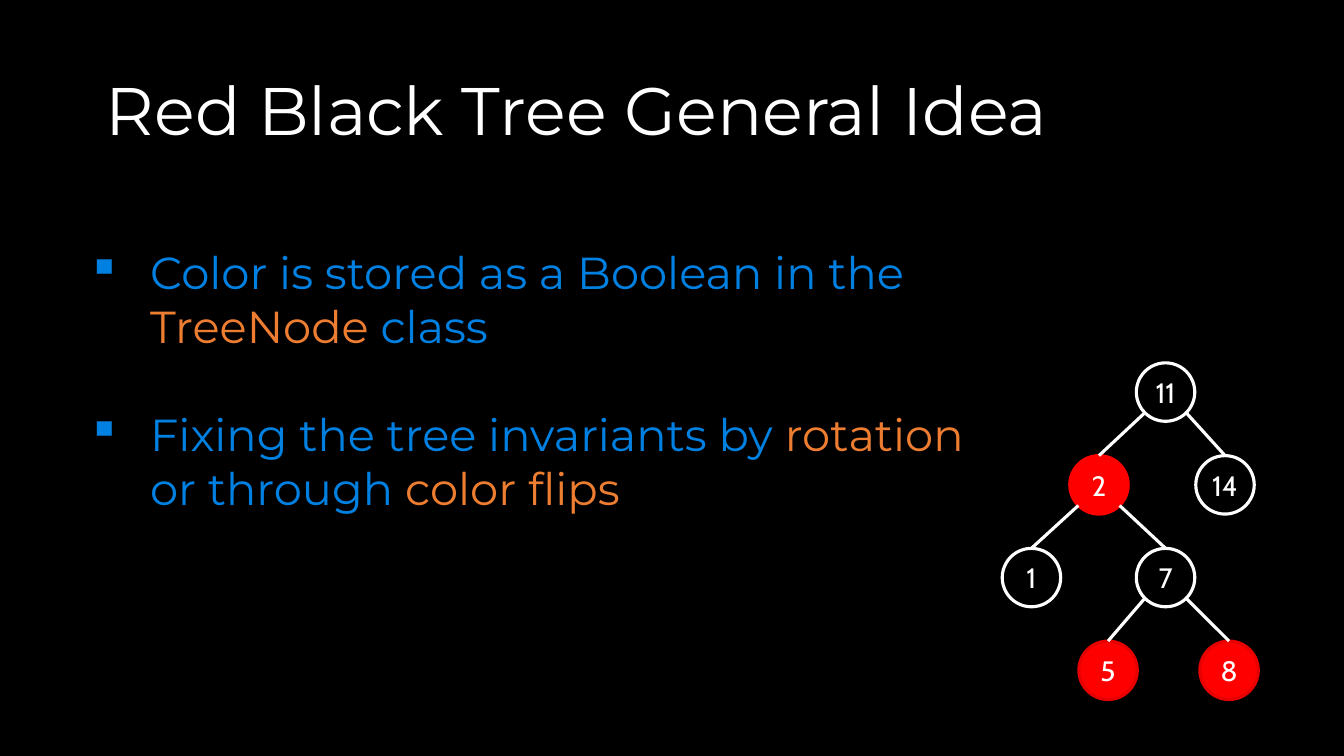
from dataclasses import dataclass
from math import sqrt

from lxml.etree import SubElement
from pptx import Presentation
from pptx.dml.color import RGBColor
from pptx.enum.shapes import MSO_CONNECTOR, MSO_SHAPE
from pptx.enum.text import MSO_ANCHOR, MSO_AUTO_SIZE, PP_ALIGN
from pptx.oxml.ns import qn
from pptx.util import Inches, Pt

COLORS = {
    "black": "000000",
    "white": "FFFFFF",
    "red": "FF0000",
    "dark red": "E60000",
    "blue": "0081E2",
    "orange": "ED7D31",
}
NODE_SIZE = 0.58
TREE_TOP = 3.6
LEVEL_STEP = 0.92
LINE_WIDTH = Pt(2.25)


@dataclass
class Node:
    label: str
    left: float
    level: int
    parent: str = ""
    fill: str = "black"
    outline: str = "white"

    @property
    def top(self) -> float:
        return TREE_TOP + LEVEL_STEP * self.level


@dataclass
class Span:
    text: str
    color: str = "blue"


NODES = [
    Node("11", 11.27, 0),
    Node("2", 10.61, 1, "11", "red", "red"),
    Node("14", 11.86, 1, "11"),
    Node("1", 9.94, 2, "2"),
    Node("7", 11.27, 2, "2"),
    Node("5", 10.7, 3, "7", "red", "dark red"),
    Node("8", 11.9, 3, "7", "red", "dark red"),
]
BULLETS = [
    [Span("Color is stored as a Boolean in the "), Span("TreeNode", "orange"), Span(" class")],
    [Span("Fixing the tree invariants by "), Span("rotation", "orange"),
     Span(" or through "), Span("color flips", "orange")],
]


def rgb(name: str) -> RGBColor:
    return RGBColor.from_string(COLORS[name])


def add_span(para, span: Span, font_name: str, size: int) -> None:
    run = para.add_run()
    run.text = span.text
    run.font.name = font_name
    run.font.size = Pt(size)
    run.font.color.rgb = rgb(span.color)


def add_title(page, text: str) -> None:
    title = page.shapes.title
    title.left, title.top = Inches(0.45), Inches(0.09)
    title.width, title.height = Inches(10.54), Inches(1.45)
    title.text_frame.vertical_anchor = MSO_ANCHOR.BOTTOM
    para = title.text_frame.paragraphs[0]
    para.alignment = PP_ALIGN.CENTER
    para.line_spacing = 0.9
    add_span(para, Span(text, "white"), "Montserrat", 48)


def add_bullets(page, bullets: list[list[Span]]) -> None:
    box = page.shapes.add_textbox(Inches(0.77), Inches(2.38), Inches(9.25), Inches(2.79))
    frame = box.text_frame
    frame.word_wrap = True
    frame.auto_size = MSO_AUTO_SIZE.SHAPE_TO_FIT_TEXT
    for index, spans in enumerate(bullets):
        para = frame.add_paragraph() if index else frame.paragraphs[0]
        properties = para._p.get_or_add_pPr()
        properties.set("marL", str(Inches(0.62)))
        properties.set("indent", str(Inches(-0.62)))
        SubElement(properties, qn("a:buChar")).set("char", "▪")
        if index:
            para.space_before = Pt(39)
        for span in spans:
            add_span(para, span, "Montserrat", 32)


def add_node(page, node: Node):
    circle = page.shapes.add_shape(
        MSO_SHAPE.OVAL, Inches(node.left), Inches(node.top), Inches(NODE_SIZE), Inches(NODE_SIZE))
    circle.shadow.inherit = False
    circle.fill.solid()
    circle.fill.fore_color.rgb = rgb(node.fill)
    circle.line.color.rgb = rgb(node.outline)
    circle.line.width = LINE_WIDTH
    frame = circle.text_frame
    frame.margin_left = frame.margin_right = 0
    frame.vertical_anchor = MSO_ANCHOR.MIDDLE
    para = frame.paragraphs[0]
    para.alignment = PP_ALIGN.CENTER
    add_span(para, Span(node.label, "white"), "Cabin", 20)
    return circle


def add_branch(page, parent: Node, child: Node, child_circle) -> None:
    """Run from the parent's lower diagonal to the top of the child."""
    radius = NODE_SIZE / 2
    diagonal = radius / sqrt(2)
    side = -1 if child.left < parent.left else 1
    branch = page.shapes.add_connector(
        MSO_CONNECTOR.STRAIGHT,
        Inches(parent.left + radius + side * diagonal), Inches(parent.top + radius + diagonal),
        Inches(child.left + radius), Inches(child.top))
    branch.end_connect(child_circle, 0)
    branch.line.color.rgb = rgb("white")
    branch.line.width = LINE_WIDTH
    SubElement(branch._element.spPr, qn("a:effectLst"))


def main() -> None:
    deck = Presentation()
    deck.slide_width, deck.slide_height = Inches(13.33), Inches(7.5)
    page = deck.slides.add_slide(deck.slide_layouts[5])
    page.background.fill.solid()
    page.background.fill.fore_color.rgb = rgb("black")

    # Tree: circles first, then the branches over them
    nodes = {node.label: node for node in NODES}
    circles = {node.label: add_node(page, node) for node in NODES}
    for node in NODES:
        if node.parent:
            add_branch(page, nodes[node.parent], node, circles[node.label])

    # Text
    add_bullets(page, BULLETS)
    add_title(page, "Red Black Tree General Idea")

    deck.save("out.pptx")


if __name__ == "__main__":
    main()
